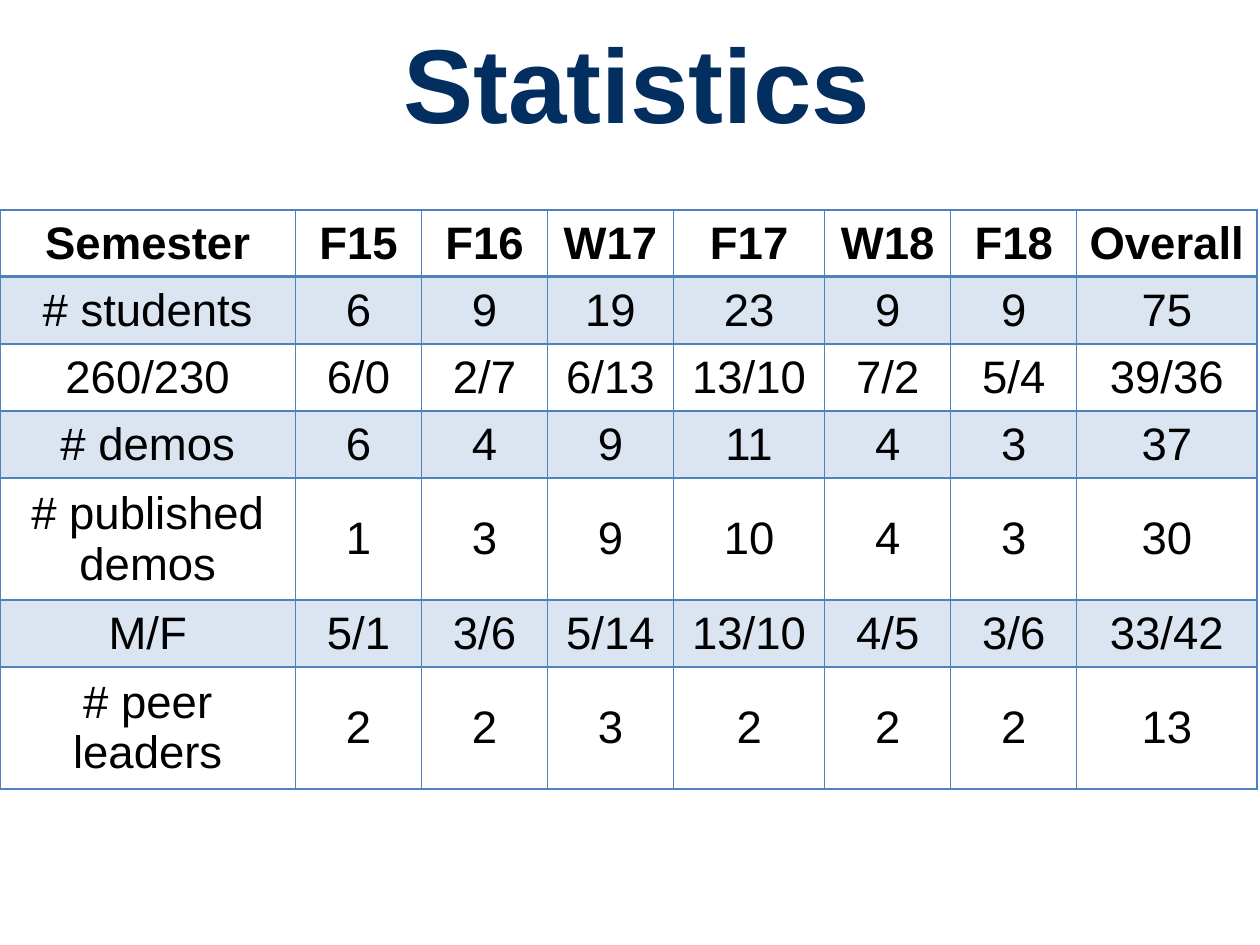
"""Build the Statistics slide with one table of figures per semester."""
from lxml.etree import SubElement
from pptx import Presentation
from pptx.dml.color import RGBColor
from pptx.enum.text import MSO_ANCHOR as ANCHOR, MSO_AUTO_SIZE as AUTO, PP_ALIGN as ALIGN
from pptx.oxml.ns import qn
from pptx.util import Pt

NAVY = RGBColor(0x03, 0x2E, 0x60)
BLUE = RGBColor(0x4F, 0x81, 0xBD)
BLACK = RGBColor(0, 0, 0)
COLS = [168.9, 72, 72, 72, 86.4, 72, 72, 103]
ROWS = [
    ["Semester", "F15", "F16", "W17", "F17", "W18", "F18", "Overall"],
    ["# students", "6", "9", "19", "23", "9", "9", "75"],
    ["260/230", "6/0", "2/7", "6/13", "13/10", "7/2", "5/4", "39/36"],
    ["# demos", "6", "4", "9", "11", "4", "3", "37"],
    ["# published demos", "1", "3", "9", "10", "4", "3", "30"],
    ["M/F", "5/1", "3/6", "5/14", "13/10", "4/5", "3/6", "33/42"],
    ["# peer leaders", "2", "2", "3", "2", "2", "2", "13"],
]
HEIGHTS = [38.3, 38.3, 38.3, 38.3, 69.7, 38.3, 69.7]


def write(tf, text, size=26, color=BLACK, bold=False, align=ALIGN.CENTER):
    p = tf.paragraphs[0]
    p.alignment = align
    r = p.add_run()
    r.text = text
    r.font.name, r.font.size, r.font.bold = "Arial", Pt(size), bold
    r.font.color.rgb = color


def add_border(tc_pr, side, width):
    ln = SubElement(tc_pr, qn(f"a:{side}"), w=str(Pt(width)))
    fill = SubElement(ln, qn("a:solidFill"))
    SubElement(fill, qn("a:srgbClr"), val=str(BLUE))


prs = Presentation()
prs.slide_width, prs.slide_height = Pt(720), Pt(540)
s = prs.slides.add_slide(prs.slide_layouts[5])

title = s.shapes.title
title.left, title.top, title.width, title.height = Pt(223.2), Pt(6.5), Pt(283.7), Pt(79.9)
tf = title.text_frame
tf.word_wrap = False
tf.auto_size = AUTO.NONE
tf.vertical_anchor = ANCHOR.BOTTOM
write(tf, "Statistics", size=60, color=NAVY, bold=True, align=ALIGN.LEFT)

frame = s.shapes.add_table(len(ROWS), len(COLS), Pt(0), Pt(119.9), Pt(sum(COLS)), Pt(sum(HEIGHTS)))
table = frame.table
table.horz_banding = False
for col, width in zip(table.columns, COLS):
    col.width = Pt(width)
for i, texts in enumerate(ROWS):
    table.rows[i].height = Pt(HEIGHTS[i])
    for j, text in enumerate(texts):
        cell = table.cell(i, j)
        cell.vertical_anchor = ANCHOR.MIDDLE
        write(cell.text_frame, text, bold=i == 0)
        tc_pr = cell._tc.get_or_add_tcPr()
        for side in ("lnL", "lnR", "lnT", "lnB"):
            heavy = (i, side) in ((0, "lnB"), (1, "lnT"))
            add_border(tc_pr, side, 2 if heavy else 1)
        if i % 2:
            cell.fill.solid()
            cell.fill.fore_color.rgb = BLUE
            color = tc_pr.find(qn("a:solidFill")).find(qn("a:srgbClr"))
            SubElement(color, qn("a:alpha"), val="20000")
        else:
            cell.fill.background()

prs.save("out.pptx")
